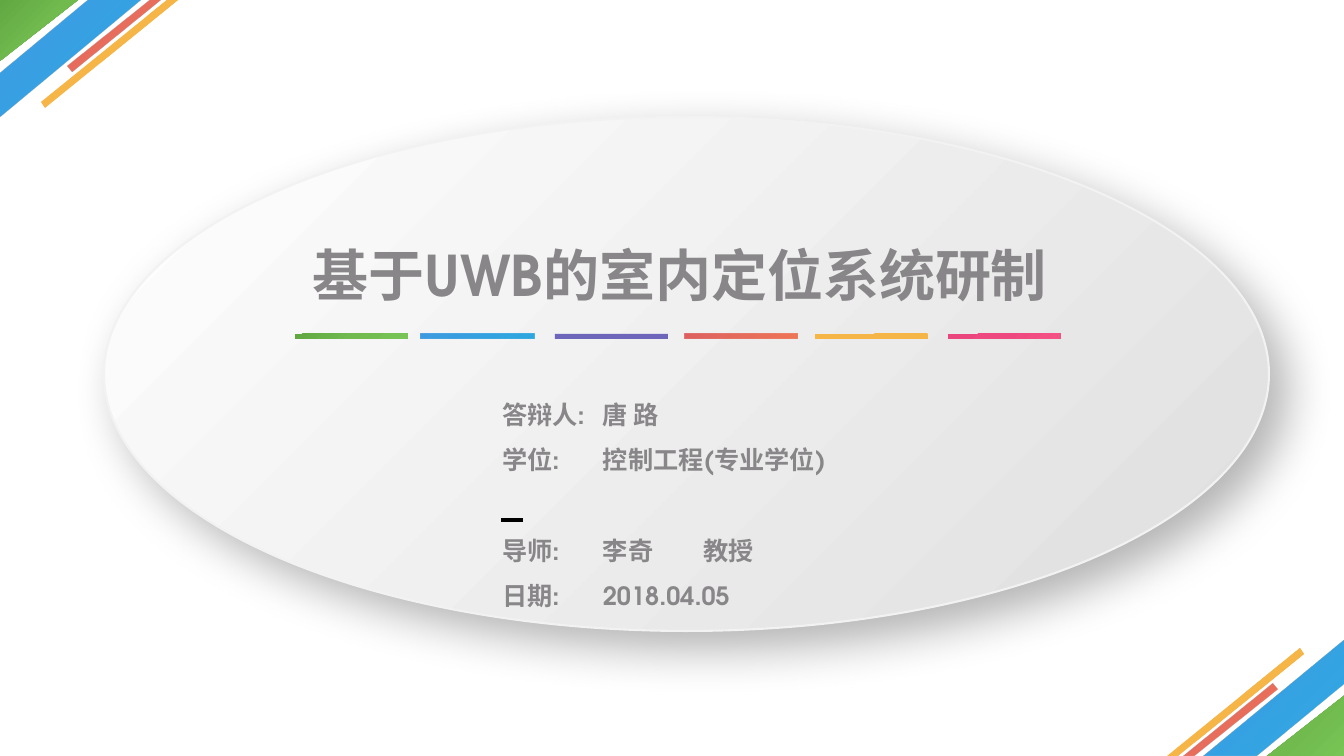
from pptx import Presentation
from pptx.dml.color import RGBColor as RGB
from pptx.enum.shapes import MSO_CONNECTOR as CONN, MSO_SHAPE as SHAPE
from pptx.enum.text import MSO_ANCHOR as ANCHOR, MSO_AUTO_SIZE as AUTO, PP_ALIGN as ALIGN
from pptx.oxml import parse_xml
from pptx.oxml.ns import nsdecls, qn
from pptx.util import Pt

PX = 914400 / 100.8
THEME = dict(
    font="TeX Gyre Adventor", text="888688", title=40, body=18, dash="000000", rim="F2F2F2",
    green=(100, "78C556", "70BA4E", "61A742"),
    blue=(90, "19A2DF", "2399E0", "2D91E0"),
    purple=(90, "6057B6"),
    red=(90, "F06A48", "E65F4D", "DC5153"),
    yellow=(100, "F5B647", "F5B547", "F5B547"),
    pink=(100, "F55284", "ED487F", "EB457D"),
    plate=(100, "FFFFFF", "DEDEDE"),
)


def paint(sp, name):
    alpha, *colors = THEME[name]
    tones = [f'<a:srgbClr val="{c}"><a:alpha val="{alpha * 1000}"/></a:srgbClr>' for c in colors]
    if len(tones) == 1:
        xml = f'<a:solidFill {nsdecls("a")}>{tones[0]}</a:solidFill>'
    else:
        step = 100000 // (len(tones) - 1)
        stops = "".join(f'<a:gs pos="{i * step}">{t}</a:gs>' for i, t in enumerate(tones))
        shade = '<a:path path="circle"><a:fillToRect l="100000" t="100000"/></a:path>'
        if len(tones) == 2:
            shade = '<a:lin ang="2700000" scaled="0"/>'
        xml = f'<a:gradFill {nsdecls("a")} rotWithShape="1"><a:gsLst>{stops}</a:gsLst>{shade}</a:gradFill>'
    sp.fill.background()
    sp_pr = sp.element.spPr
    sp_pr.replace(sp_pr.find(qn("a:noFill")), parse_xml(xml))
    sp.line.fill.background()
    sp.shadow.inherit = False


def write(p, text, size, align=ALIGN.LEFT, spacing=1.0, before=0, tabs=()):
    p.alignment, p.line_spacing, p.space_before = align, spacing, Pt(before)
    r = p.add_run()
    r.text = text
    r.font.name, r.font.size, r.font.bold = THEME["font"], Pt(size), True
    r.font.color.rgb = RGB.from_string(THEME["text"])
    if tabs:
        stops = "".join(f'<a:tab pos="{round(t * PX)}" algn="l"/>' for t in tabs)
        p._p.get_or_add_pPr().append(parse_xml(f'<a:tabLst {nsdecls("a")}>{stops}</a:tabLst>'))


prs = Presentation()
prs.slide_width, prs.slide_height = round(1344 * PX), round(756 * PX)
s = prs.slides.add_slide(prs.slide_layouts[0])

stripes = [
    ("blue", [(0, 117), (141, 0), (88, 0), (0, 73)]),
    ("red", [(73, 72), (161, 0), (150, 0), (68, 66)]),
    ("yellow", [(45, 108), (178, 0), (167, 0), (41, 102)]),
]
for x, y, flip, (ox, oy, sign) in [(0, 0, "flipV", (0, 0, 1)), (1267, 695, "flipH", (1345, 756, -1))]:
    sp = s.shapes.add_shape(SHAPE.RIGHT_TRIANGLE, *[round(v * PX) for v in (x, y, 78, 61)])
    sp.element.spPr.xfrm.set(flip, "1")
    paint(sp, "green")
    for color, points in stripes:
        start, *rest = [(ox + sign * a, oy + sign * b) for a, b in points]
        outline = s.shapes.build_freeform(*start, scale=PX)
        outline.add_line_segments(rest, close=True)
        paint(outline.convert_to_shape(), color)

plate = s.shapes.add_shape(SHAPE.OVAL, *[round(v * PX) for v in (104, 117, 1165, 514)])
paint(plate, "plate")
plate.line.color.rgb = RGB.from_string(THEME["rim"])
plate.line.width = Pt(1.5)
plate.element.spPr.find(qn("a:effectLst")).append(parse_xml(
    f'<a:outerShdw {nsdecls("a")} blurRad="{Pt(34)}" dist="{Pt(17)}" dir="2700000" algn="tl" rotWithShape="0">'
    '<a:srgbClr val="000000"><a:alpha val="30000"/></a:srgbClr></a:outerShdw>'))

bars = dict(green=295, blue=421, purple=555, red=685, yellow=815, pink=948)
for color, x in bars.items():
    paint(s.shapes.add_shape(SHAPE.RECTANGLE, *[round(v * PX) for v in (x, 334, 113, 5)]), color)

title, details = s.placeholders
for sp, box, anchor in [
    (title, (176, 235, 1008, 78), ANCHOR.MIDDLE),
    (details, (492, 379, 411, 240), ANCHOR.TOP),
]:
    sp.left, sp.top, sp.width, sp.height = [round(v * PX) for v in box]
    tf = sp.text_frame
    tf.word_wrap, tf.auto_size, tf.vertical_anchor = True, AUTO.NONE, anchor
    sp.element.getparent().append(sp.element)

write(title.text_frame.paragraphs[0], "基于UWB的室内定位系统研制", THEME["title"], align=ALIGN.CENTER)

rows = [
    ("答辩人:\t唐 路", 0, (144,)),
    ("学位:\t控制工程(专业学位)", 0, (140,)),
    ("导师:\t李奇\t教授", 32.5, (140, 202)),
    ("日期:\t2018.04.05", 0, (134,)),
]
tf = details.text_frame
for i, (text, before, tabs) in enumerate(rows):
    p = tf.add_paragraph() if i else tf.paragraphs[0]
    write(p, text, THEME["body"], spacing=1.5, before=before, tabs=tabs)

dash = s.shapes.add_connector(CONN.STRAIGHT, *[round(v * PX) for v in (501, 520, 523, 520)])
dash.line.color.rgb = RGB.from_string(THEME["dash"])
dash.line.width = Pt(3)
dash.element.spPr.append(parse_xml(f'<a:effectLst {nsdecls("a")}/>'))

prs.save("out.pptx")
